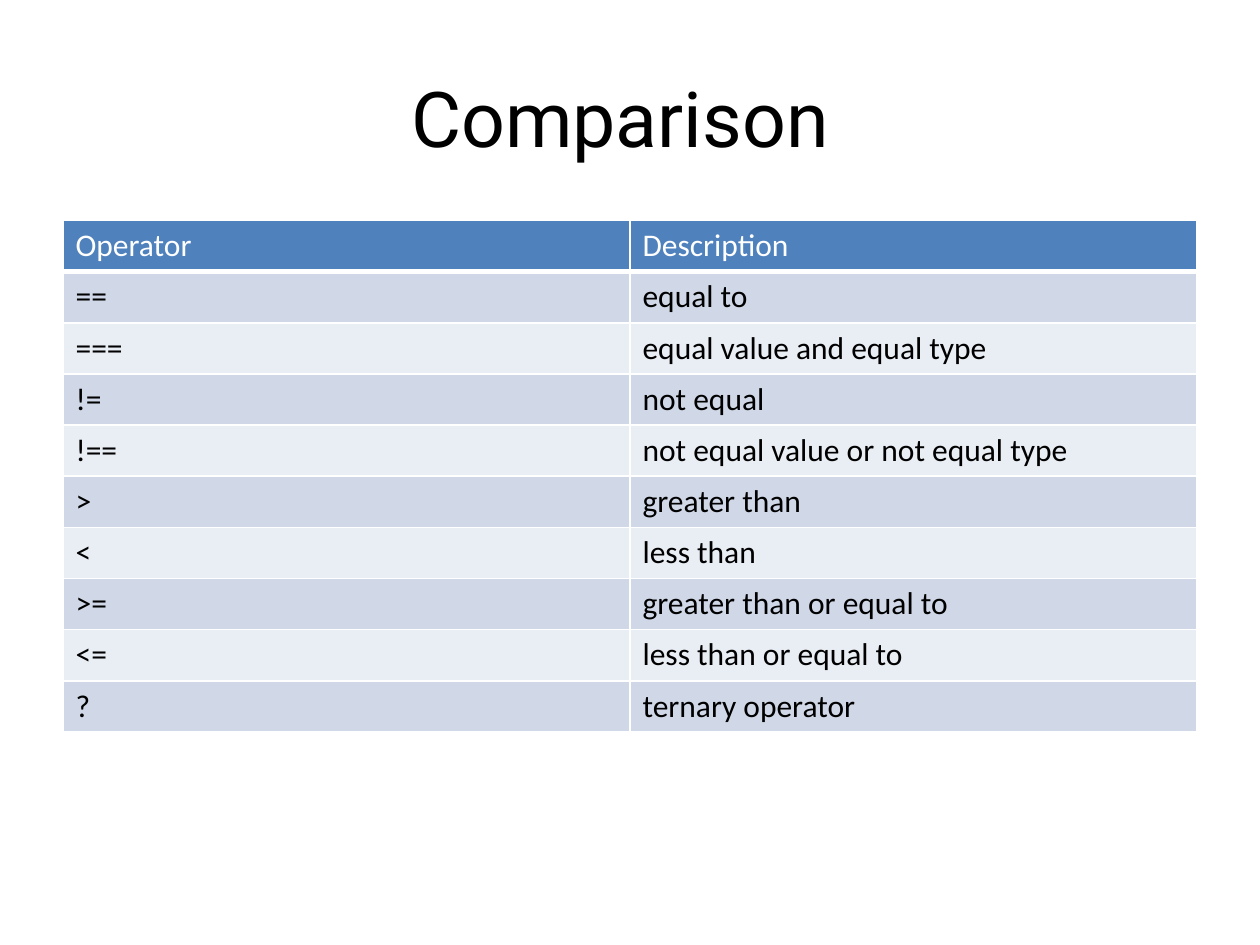
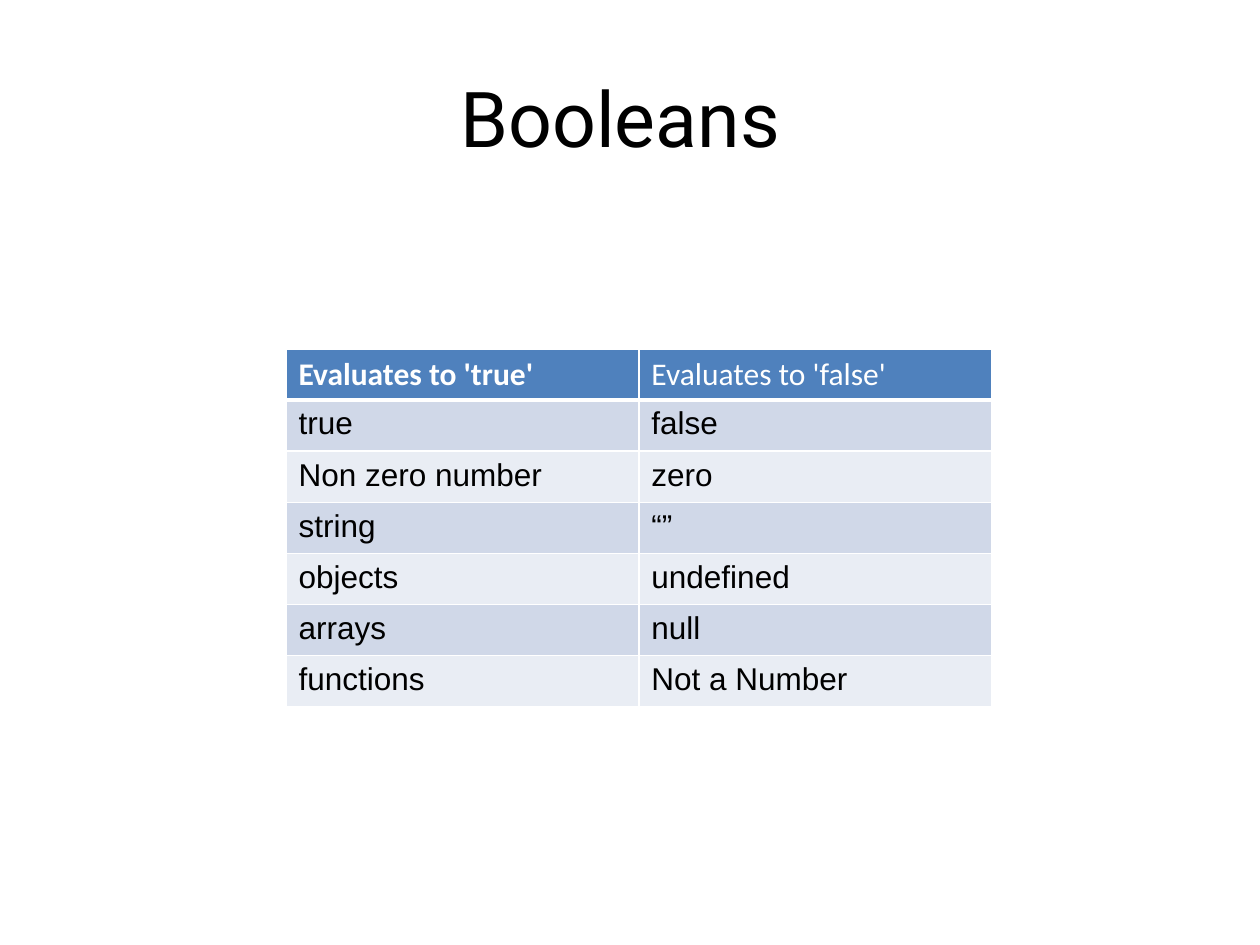
"""Build two JavaScript reference slides, each with a title and a table."""
from dataclasses import dataclass

from lxml import etree
from pptx import Presentation
from pptx.dml.color import RGBColor
from pptx.enum.text import MSO_ANCHOR, PP_ALIGN
from pptx.oxml.ns import qn
from pptx.util import Inches, Pt

CENTER = PP_ALIGN.CENTER
MIDDLE = MSO_ANCHOR.MIDDLE
BLACK = RGBColor(0x00, 0x00, 0x00)
WHITE = RGBColor(0xFF, 0xFF, 0xFF)
HEADER_BLUE = RGBColor(0x4F, 0x81, 0xBD)
BANDS = (RGBColor(0xD0, 0xD8, 0xE8), RGBColor(0xE9, 0xED, 0xF4))
TITLE_BOX = (Inches(0.5), Inches(0.3), Inches(9), Inches(1.25))
TITLE_FRAME = {"word_wrap": True, "vertical_anchor": MIDDLE, "margin_right": Inches(0.25)}
TITLE_FONT = {"name": "Roboto", "size": Pt(44)}
HEADER_FONT = {"name": "Calibri", "size": Pt(18)}
THIN, THICK = Pt(1), Pt(3)


@dataclass(frozen=True)
class TableSlide:
    title: str
    box: tuple
    body_font: str
    rows: tuple
    bold_headers: tuple = (False, False)


SLIDES = (
    TableSlide(
        "Comparison",
        (Inches(0.5), Inches(1.75), Inches(9), Inches(4.06)),
        "Calibri",
        (
            ("Operator", "Description"),
            ("==", "equal to"),
            ("===", "equal value and equal type"),
            ("!=", "not equal"),
            ("!==", "not equal value or not equal type"),
            (">", "greater than"),
            ("<", "less than"),
            (">=", "greater than or equal to"),
            ("<=", "less than or equal to"),
            ("?", "ternary operator"),
        ),
    ),
    TableSlide(
        "Booleans",
        (Inches(2.27), Inches(2.77), Inches(5.6), Inches(2.84)),
        "Arial",
        (
            ("Evaluates to 'true'", "Evaluates to 'false'"),
            ("true", "false"),
            ("Non zero number", "zero"),
            ("string", "“”"),
            ("objects", "undefined"),
            ("arrays", "null"),
            ("functions", "Not a Number"),
        ),
        (True, False),
    ),
)


def set_attributes(target, values: dict) -> None:
    for name, value in values.items():
        setattr(target, name, value)


def add_text(p, text: str, font: dict, color: RGBColor) -> None:
    r = p.add_run()
    r.text = text
    set_attributes(r.font, font)
    r.font.color.rgb = color


def set_borders(cell, top: int, bottom: int) -> None:
    tc_pr = cell._tc.get_or_add_tcPr()
    widths = {"a:lnL": THIN, "a:lnR": THIN, "a:lnT": top, "a:lnB": bottom}
    for i, (tag, width) in enumerate(widths.items()):
        ln = etree.Element(qn(tag), w=str(int(width)))
        fill = etree.SubElement(ln, qn("a:solidFill"))
        etree.SubElement(fill, qn("a:srgbClr"), val=str(WHITE))
        tc_pr.insert(i, ln)


def add_title(s, title: str) -> None:
    tf = s.shapes.add_textbox(*TITLE_BOX).text_frame
    set_attributes(tf, TITLE_FRAME)
    p = tf.paragraphs[0]
    p.alignment = CENTER
    add_text(p, title, TITLE_FONT, BLACK)


def add_table(s, content: TableSlide) -> None:
    rows = content.rows
    table = s.shapes.add_table(len(rows), len(rows[0]), *content.box).table
    for i, row in enumerate(rows):
        for j, text in enumerate(row):
            cell = table.cell(i, j)
            cell.fill.solid()
            if i == 0:
                fill, color = HEADER_BLUE, WHITE
                font = HEADER_FONT | {"bold": content.bold_headers[j]}
            else:
                fill, color = BANDS[(i - 1) % len(BANDS)], BLACK
                font = HEADER_FONT | {"name": content.body_font, "bold": False}
            cell.fill.fore_color.rgb = fill
            add_text(cell.text_frame.paragraphs[0], text, font, color)
            set_borders(cell, THICK if i == 1 else THIN, THICK if i == 0 else THIN)


def main() -> None:
    prs = Presentation()
    set_attributes(prs, {"slide_width": Inches(10), "slide_height": Inches(7.5)})
    for content in SLIDES:
        s = prs.slides.add_slide(prs.slide_layouts[6])
        add_title(s, content.title)
        add_table(s, content)
    prs.save("out.pptx")


if __name__ == "__main__":
    main()
